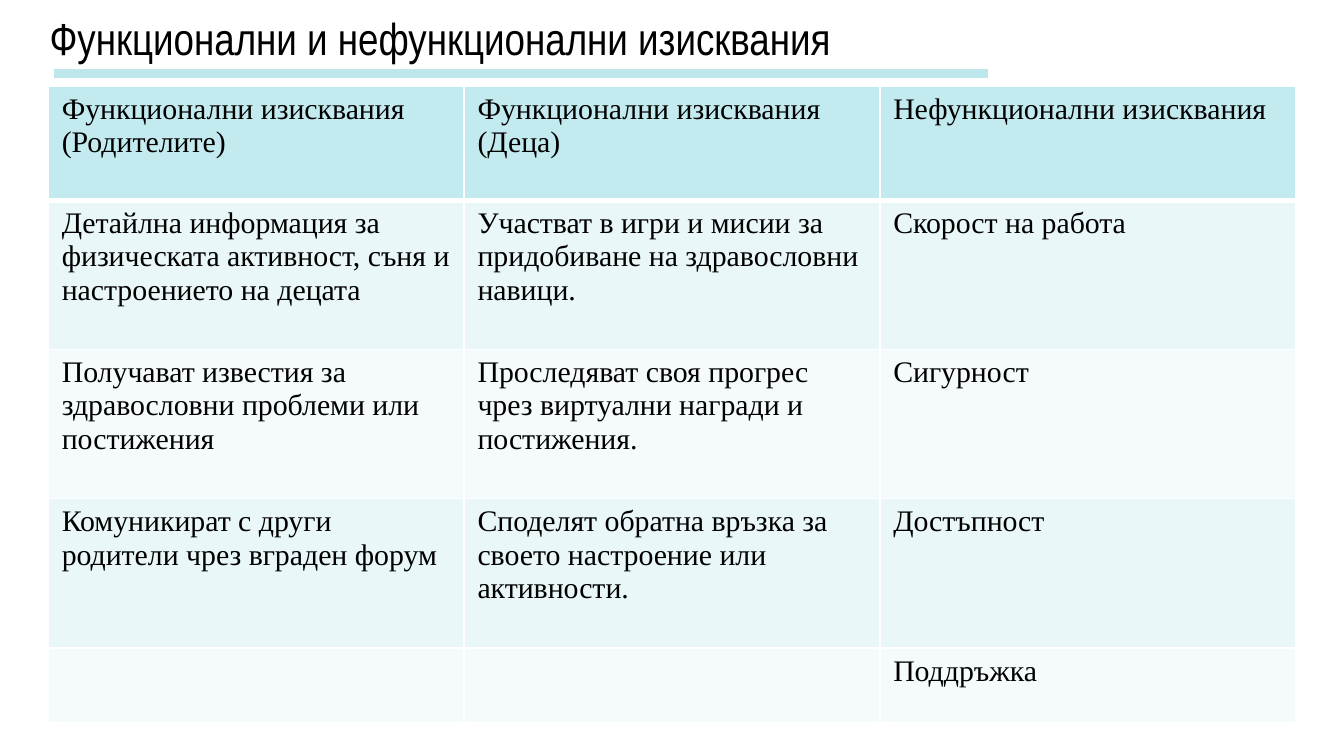
from lxml import etree
from pptx import Presentation
from pptx.dml.color import RGBColor
from pptx.enum import shapes, text
from pptx.oxml.ns import qn
from pptx.util import Inches, Pt

BLACK = RGBColor(0x00, 0x00, 0x00)
WHITE = RGBColor(0xFF, 0xFF, 0xFF)
RULE = RGBColor(0xBE, 0xE7, 0xEB)
HEADER = RGBColor(0xC3, 0xEB, 0xEF)
BANDS = (RGBColor(0xF5, 0xFB, 0xFC), RGBColor(0xE9, 0xF7, 0xF9))

TITLE_FONT = {"name": "Arial Narrow", "size": Pt(24)}
CELL_FONT = {"name": "Times New Roman", "size": Pt(16)}

TABLE_WIDTH = 9.28
ROW_HEIGHTS = (0.85, 1.11, 1.11, 1.11, 0.56)
REQUIREMENTS = (
    ("Функционални изисквания (Родителите)",
     "Функционални изисквания (Деца)",
     "Нефункционални изисквания"),
    ("Детайлна информация за физическата активност, съня и настроението на децата",
     "Участват в игри и мисии за придобиване на здравословни навици.",
     "Скорост на работа"),
    ("Получават известия за здравословни проблеми или постижения",
     "Проследяват своя прогрес чрез виртуални награди и постижения.",
     "Сигурност"),
    ("Комуникират с други родители чрез вграден форум",
     "Споделят обратна връзка за своето настроение или активности.",
     "Достъпност"),
    ("", "", "Поддръжка"),
)


def write(tf, words, font):
    r = tf.paragraphs[0].add_run()
    r.text = words
    for name, value in font.items():
        setattr(r.font, name, value)
    r.font.color.rgb = BLACK


def set_borders(cell, widths):
    """Draw white cell borders; widths maps a side tag to points."""
    tc_pr = cell._tc.get_or_add_tcPr()
    for i, (side, width) in enumerate(widths.items()):
        ln = etree.Element(qn(f"a:{side}"), w=str(Pt(width)))
        fill = etree.SubElement(ln, qn("a:solidFill"))
        etree.SubElement(fill, qn("a:srgbClr"), val=str(WHITE))
        tc_pr.insert(i, ln)


def add_requirements(s):
    table = s.shapes.add_table(
        len(REQUIREMENTS), len(REQUIREMENTS[0]), Inches(0.36), Inches(0.64),
        Inches(TABLE_WIDTH), Inches(sum(ROW_HEIGHTS))).table
    for col in table.columns:
        col.width = Inches(TABLE_WIDTH / len(table.columns))
    for i, (height, row) in enumerate(zip(ROW_HEIGHTS, REQUIREMENTS)):
        table.rows[i].height = Inches(height)
        for j, words in enumerate(row):
            cell = table.cell(i, j)
            cell.fill.solid()
            cell.fill.fore_color.rgb = BANDS[i % 2] if i else HEADER
            set_borders(cell, {"lnL": 1, "lnR": 1,
                               "lnT": 3 if i == 1 else 1,
                               "lnB": 1 if i else 3})
            if words:
                write(cell.text_frame, words, CELL_FONT)


def add_title(s, words):
    tf = s.shapes.add_textbox(Inches(0.27), Inches(0.03),
                              Inches(6.68), Inches(0.74)).text_frame
    tf.word_wrap = True
    tf.vertical_anchor = text.MSO_ANCHOR.TOP
    write(tf, words, TITLE_FONT)


def add_rule(s, left, right, y):
    rule = s.shapes.add_connector(shapes.MSO_CONNECTOR.STRAIGHT,
                                  Inches(left), Inches(y),
                                  Inches(right), Inches(y))
    rule.line.color.rgb = RULE
    rule.line.width = Pt(4.75)
    etree.SubElement(rule._element.spPr, qn("a:effectLst"))


def main():
    prs = Presentation()
    prs.slide_width, prs.slide_height = Inches(10), Inches(10 * 9 / 16)
    s = prs.slides.add_slide(prs.slide_layouts[6])
    add_requirements(s)
    add_title(s, "Функционални и нефункционални изисквания")
    add_rule(s, 0.4, 7.35, 0.55)
    prs.save("out.pptx")


if __name__ == "__main__":
    main()
